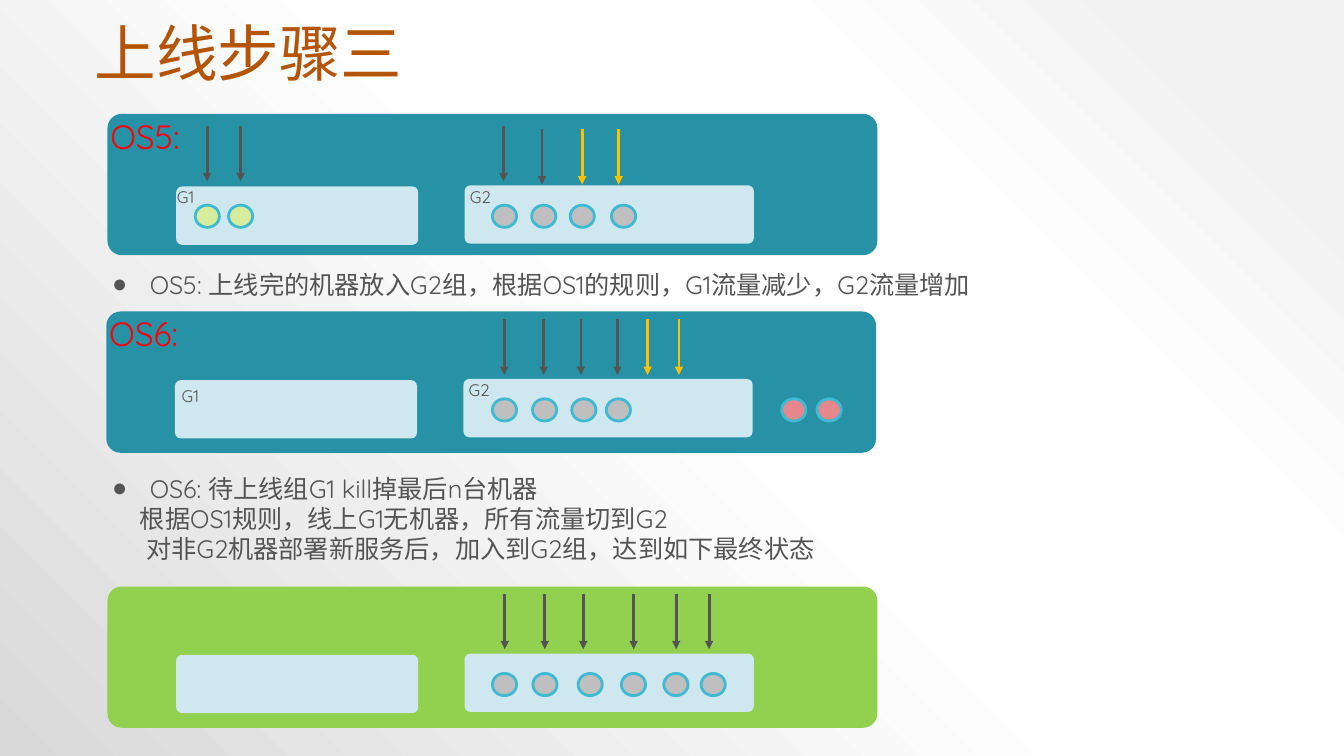
from dataclasses import dataclass

from pptx import Presentation
from pptx.dml.color import RGBColor
from pptx.enum import shapes as sh, text as tx
from pptx.oxml import parse_xml
from pptx.oxml.ns import nsdecls, qn
from pptx.util import Cm, Pt


@dataclass(frozen=True)
class Theme:
    title: str = "B35406"
    body: str = "545454"
    tag: str = "FF0000"
    teal: str = "2791A6"
    done: str = "92D050"
    group: str = "CFE7EE"
    ring: str = "40BAD2"
    old: str = "D7ED9E"
    new: str = "BFBFBF"
    dead: str = "E6888B"
    extra: str = "FFC000"
    back: tuple = ((10, "F2F2F2"), (28, "FFFFFF"), (48, "FFFFFF"), (100, "D9D9D9"))
    han: str = "Noto Sans CJK SC"
    latin: str = "Quicksand"
    head_pt: int = 44
    tag_pt: int = 24
    body_pt: int = 18
    note_pt: int = 12


T = Theme()


def rgb(code):
    return RGBColor.from_string(code)


def place(shape, x, y, w, h):
    shape.left, shape.top, shape.width, shape.height = map(Cm, (x, y, w, h))


def write(para, words, size, color, font):
    run = para.add_run()
    run.text = words
    run.font.size = Pt(size)
    run.font.name = font
    run.font.color.rgb = rgb(color)
    east = run.font._element.makeelement(qn("a:ea"), {"typeface": font})
    run.font._element.find(qn("a:latin")).addnext(east)


def paint(slide):
    """Fill the background with a circular gradient centred on the top right."""
    slide.background.fill.solid()
    stops = "".join(
        f'<a:gs pos="{pos * 1000}"><a:srgbClr val="{code}"/></a:gs>'
        for pos, code in T.back
    )
    grad = parse_xml(
        f'<a:gradFill {nsdecls("a")} rotWithShape="1"><a:gsLst>{stops}</a:gsLst>'
        '<a:path path="circle"><a:fillToRect l="100000" b="100000"/></a:path>'
        "</a:gradFill>"
    )
    solid = slide.element.find(".//" + qn("a:solidFill"))
    solid.getparent().replace(solid, grad)


def heading(shape, box, words):
    place(shape, *box)
    frame = shape.text_frame
    frame.auto_size = tx.MSO_AUTO_SIZE.NONE
    frame.vertical_anchor = tx.MSO_ANCHOR.BOTTOM
    para = frame.paragraphs[0]
    para.alignment = tx.PP_ALIGN.LEFT
    para.line_spacing = 0.9
    write(para, words, T.head_pt, T.title, T.han)


def notes(shape, box, lines):
    """Write (words, left margin) lines; the first one carries the bullet."""
    place(shape, *box)
    frame = shape.text_frame
    frame.word_wrap = True
    frame.auto_size = tx.MSO_AUTO_SIZE.NONE
    for i, (words, margin) in enumerate(lines):
        para = frame.add_paragraph() if i else frame.paragraphs[0]
        para.space_before = Pt(0)
        para.line_spacing = 1.0
        props = para._p.get_or_add_pPr()
        props.set("marL", str(Cm(margin)))
        props.set("indent", str(0 if i else -Cm(margin)))
        mark = "<a:buNone %s/>" if i else '<a:buChar %s char="●"/>'
        props.append(parse_xml(mark % nsdecls("a")))
        write(para, words, T.body_pt, T.body, T.latin)


def block(slide, kind, box, fill):
    shape = slide.shapes.add_shape(kind, *map(Cm, box))
    shape.shadow.inherit = False
    shape.fill.solid()
    shape.fill.fore_color.rgb = rgb(fill)
    shape.line.fill.background()
    return shape


def slab(slide, box, fill):
    block(slide, sh.MSO_SHAPE.ROUNDED_RECTANGLE, box, fill).adjustments[0] = 0.1


def dot(slide, x, y, fill):
    kind = sh.MSO_SHAPE.FLOWCHART_CONNECTOR
    shape = block(slide, kind, (x, y, 0.61, 0.56), fill)
    shape.line.color.rgb = rgb(T.ring)
    shape.line.width = Pt(2)


def arrow(slide, x, y, color):
    line = slide.shapes.add_connector(
        sh.MSO_CONNECTOR.STRAIGHT, Cm(x), Cm(y), Cm(x), Cm(y + 1.4)
    )
    line.line.color.rgb = rgb(color)
    line.line.width = Pt(2)
    line.line._get_or_add_ln().append(
        parse_xml(f'<a:tailEnd {nsdecls("a")} type="triangle"/>')
    )
    line._element.spPr.append(parse_xml(f'<a:effectLst {nsdecls("a")}/>'))


def label(slide, box, words, size, color):
    frame = slide.shapes.add_textbox(*map(Cm, box)).text_frame
    frame.word_wrap = True
    para = frame.paragraphs[0]
    para.line_spacing = 0.9
    write(para, words, size, color, T.latin)


def panel(slide, left, top, fill, drop, dots, arrows, tags=()):
    """Draw one state; drop is the depth of both groups inside the panel."""
    slab(slide, (left, top, 19.4, 3.56), fill)
    slab(slide, (left + 9, top + drop, 7.29, 1.47), T.group)
    slab(slide, (left + 1.73, top + drop + 0.03, 6.1, 1.47), T.group)
    for color, spots in dots:
        for x in spots:
            dot(slide, left + x, top + drop + 0.5, color)
    for color, y, spots in arrows:
        for x in spots:
            arrow(slide, left + x, top + y, color)
    if tags:
        name, (x, y) = tags
        label(slide, (left - 0.18, top + 0.03, 2.39, 1.17), name, T.tag_pt, T.tag)
        for words, dx, dy in (("G1", x, y), ("G2", 8.88, drop - 0.04)):
            box = (left + dx, top + dy, 1.12, 0.71)
            label(slide, box, words, T.note_pt, T.body)


def main():
    deck = Presentation()
    deck.slide_width, deck.slide_height = Cm(33.87), Cm(19.05)
    slide = deck.slides.add_slide(deck.slide_layouts[3])
    paint(slide)
    title, first, second = slide.placeholders
    heading(title, (2.13, 0.28, 27.1, 2.11), "上线步骤三")
    notes(first, (2.57, 6.65, 23.65, 1.02), [
        ("OS5: 上线完的机器放入G2组，根据OS1的规则，G1流量减少，G2流量增加", 0.95),
    ])
    notes(second, (2.57, 11.79, 23.65, 2.57), [
        ("OS6: 待上线组G1 kill掉最后n台机器", 0.95),
        ("根据OS1规则，线上G1无机器，所有流量切到G2", 0.7),
        ("对非G2机器部署新服务后，加入到G2组，达到如下最终状态", 0.86),
    ])
    panel(
        slide, 2.71, 2.87, T.teal, 1.8,
        [(T.old, (2.21, 3.05)), (T.new, (9.7, 10.69, 11.66, 12.7))],
        [(T.body, 0.3, (2.51, 3.35, 9.98)), (T.body, 0.38, (10.95,)),
         (T.extra, 0.38, (11.96, 12.88))],
        ("OS5:", (1.5, 1.78)),
    )
    panel(
        slide, 2.68, 7.85, T.teal, 1.7,
        [(T.new, (9.73, 10.74, 11.73, 12.6)), (T.dead, (17.02, 17.91))],
        [(T.body, 0.2, (10.03, 11.02, 11.96, 12.88)), (T.extra, 0.2, (13.64, 14.43))],
        ("OS6:", (1.65, 1.8)),
    )
    panel(
        slide, 2.71, 14.78, T.done, 1.69,
        [(T.new, (9.7, 10.72, 11.86, 12.95, 14.02, 14.96))],
        [(T.body, 0.18, (10.01, 11.02, 11.99, 13.26, 14.33, 15.16))],
    )
    deck.save("out.pptx")


if __name__ == "__main__":
    main()
